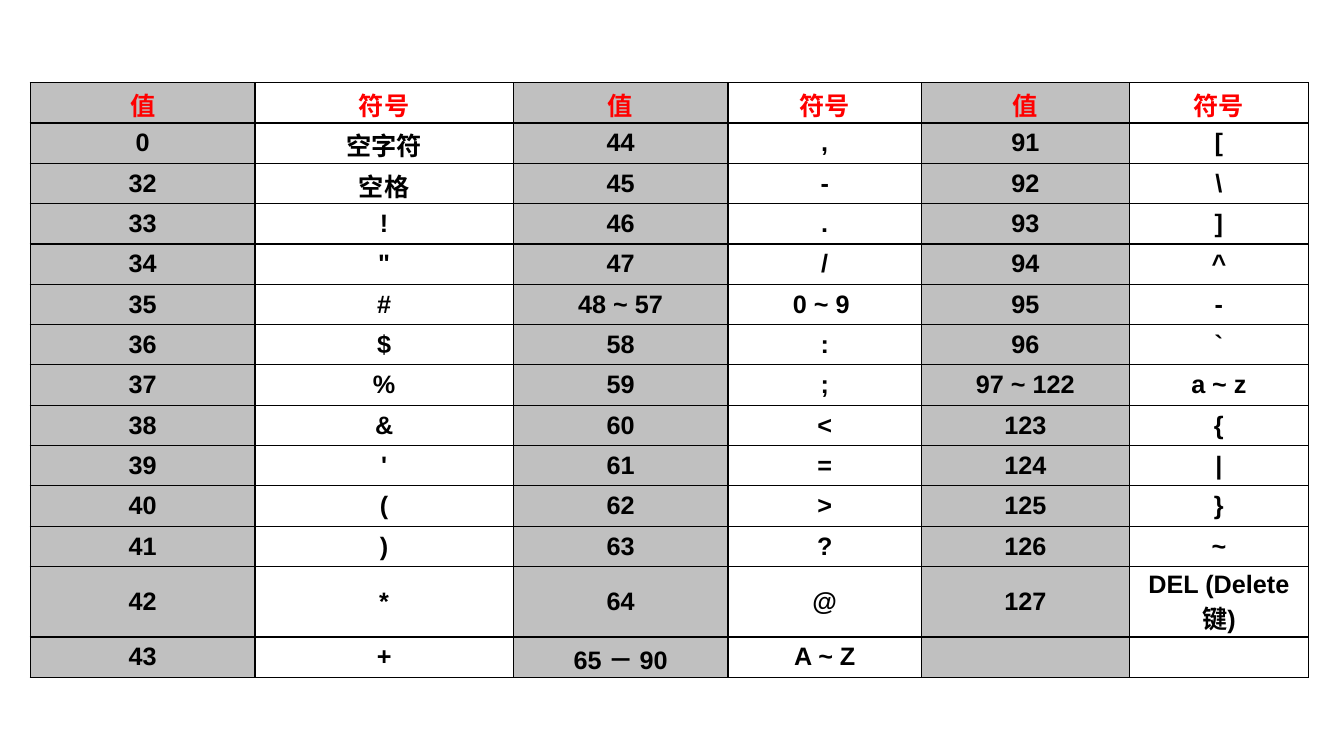
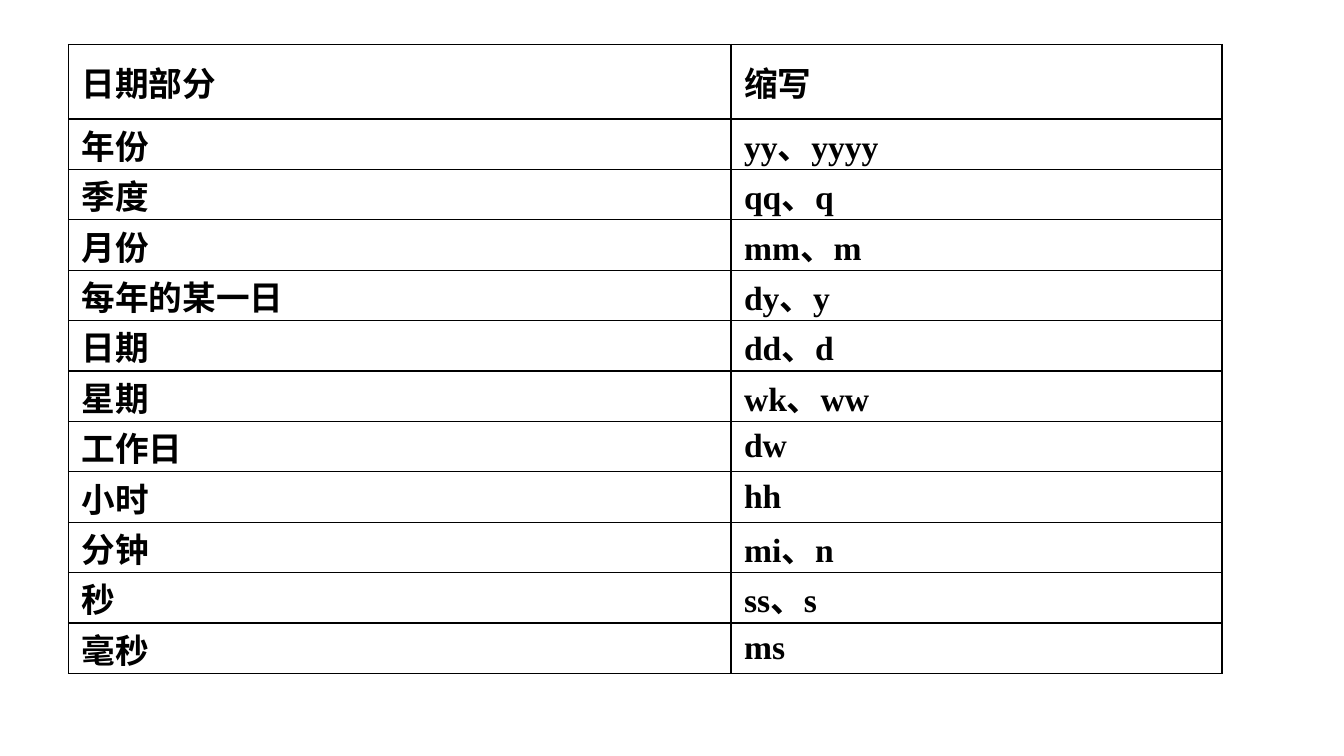
"""Build two reference slides: ASCII character codes and date part abbreviations."""
from lxml.etree import SubElement
from pptx import Presentation
from pptx.dml.color import RGBColor
from pptx.enum.text import MSO_ANCHOR, PP_ALIGN
from pptx.oxml.ns import qn
from pptx.util import Inches, Pt

COLORS = {"text": "000000", "heading": "FF0000", "border": "000000", "shade": "C0C0C0"}

ASCII_CODES = [
    ("值", "符号", "值", "符号", "值", "符号"),
    ("0", "空字符", "44", ",", "91", "["),
    ("32", "空格", "45", "-", "92", "\\"),
    ("33", "!", "46", ".", "93", "]"),
    ("34", '"', "47", "/", "94", "^"),
    ("35", "#", "48 ~ 57", "0 ~ 9 ", "95", "-"),
    ("36", "$", "58", ":", "96", "`"),
    ("37", "%", "59", ";", "97 ~ 122", "a ~ z"),
    ("38", "&", "60", "<", "123", "{"),
    ("39", "'", "61", "=", "124", "|"),
    ("40", "(", "62", ">", "125", "}"),
    ("41", ")", "63", "?", "126", "~"),
    ("42", "*", "64", "@", "127", "DEL (Delete键)"),
    ("43", "+", "65 － 90", "A ~ Z", "", ""),
]

DATE_PARTS = [
    ("日期部分", "缩写"),
    ("年份", "yy、yyyy"),
    ("季度", "qq、q"),
    ("月份", "mm、m"),
    ("每年的某一日", "dy、y"),
    ("日期", "dd、d"),
    ("星期", "wk、ww"),
    ("工作日", "dw"),
    ("小时", "hh"),
    ("分钟", "mi、n"),
    ("秒", "ss、s"),
    ("毫秒", "ms"),
]


def add_borders(cell):
    """Draw a thin line on all four sides of a cell."""
    properties = cell._tc.get_or_add_tcPr()
    for position, side in enumerate(("a:lnL", "a:lnR", "a:lnT", "a:lnB")):
        line = SubElement(properties, qn(side), w=str(Pt(1)))
        fill = SubElement(line, qn("a:solidFill"))
        SubElement(fill, qn("a:srgbClr"), val=COLORS["border"])
        properties.insert(position, line)


def set_margins(cell, text, snug_top):
    """Set cell margins, tighter where tall Chinese glyphs must fit the row."""
    has_chinese = any(ord(letter) > 255 for letter in text)
    top, bottom = (snug_top, 0) if has_chinese else (0.05, 0.05)
    cell.margin_left = cell.margin_right = Inches(0.13)
    cell.margin_top, cell.margin_bottom = Inches(top), Inches(bottom)


def fill_cell(cell, text, font_name, size, align, color, shade):
    """Write one cell with its text style, fill and borders."""
    cell.text = text
    cell.vertical_anchor = MSO_ANCHOR.MIDDLE
    paragraph = cell.text_frame.paragraphs[0]
    paragraph.alignment = align
    font = paragraph.font
    font.name, font.size, font.bold = font_name, Pt(size), True
    font.color.rgb = RGBColor.from_string(COLORS[color])
    if shade:
        cell.fill.solid()
        cell.fill.fore_color.rgb = RGBColor.from_string(COLORS[shade])
    else:
        cell.fill.background()
    add_borders(cell)


def add_grid(deck, rows, place, widths, heights, font_name, size, snug_top,
             align=PP_ALIGN.LEFT, heading="text", shades=(None,)):
    """Add a slide with a bordered table; shades repeat across the columns."""
    slide = deck.slides.add_slide(deck.slide_layouts[6])
    left, top, width, height = map(Inches, place)
    table = slide.shapes.add_table(len(rows), len(widths), left, top, width, height).table
    table.first_row = table.horz_banding = False
    for column, column_width in zip(table.columns, widths):
        column.width = Inches(column_width)
    for row, row_height in zip(table.rows, heights):
        row.height = Inches(row_height)
    for r, texts in enumerate(rows):
        color = "text" if r else heading
        for c, text in enumerate(texts):
            cell = table.cell(r, c)
            set_margins(cell, text, snug_top)
            fill_cell(cell, text, font_name, size, align, color, shades[c % len(shades)])


def main():
    """Build and save the deck."""
    deck = Presentation()
    deck.slide_width, deck.slide_height = Inches(13.33), Inches(7.5)
    add_grid(deck, ASCII_CODES, (0.3, 0.82, 12.68, 5.9),
             (2.23, 2.56, 2.13, 1.92, 2.06, 1.78), [0.4] * 12 + [0.7, 0.4],
             "Arial", 18, 0.03, PP_ALIGN.CENTER, "heading", ("shade", None))
    add_grid(deck, DATE_PARTS, (0.68, 0.44, 11.44, 6.24),
             (6.57, 4.87), [0.74] + [0.5] * 11, "Times New Roman", 24, 0.01)
    deck.save("out.pptx")


if __name__ == "__main__":
    main()
